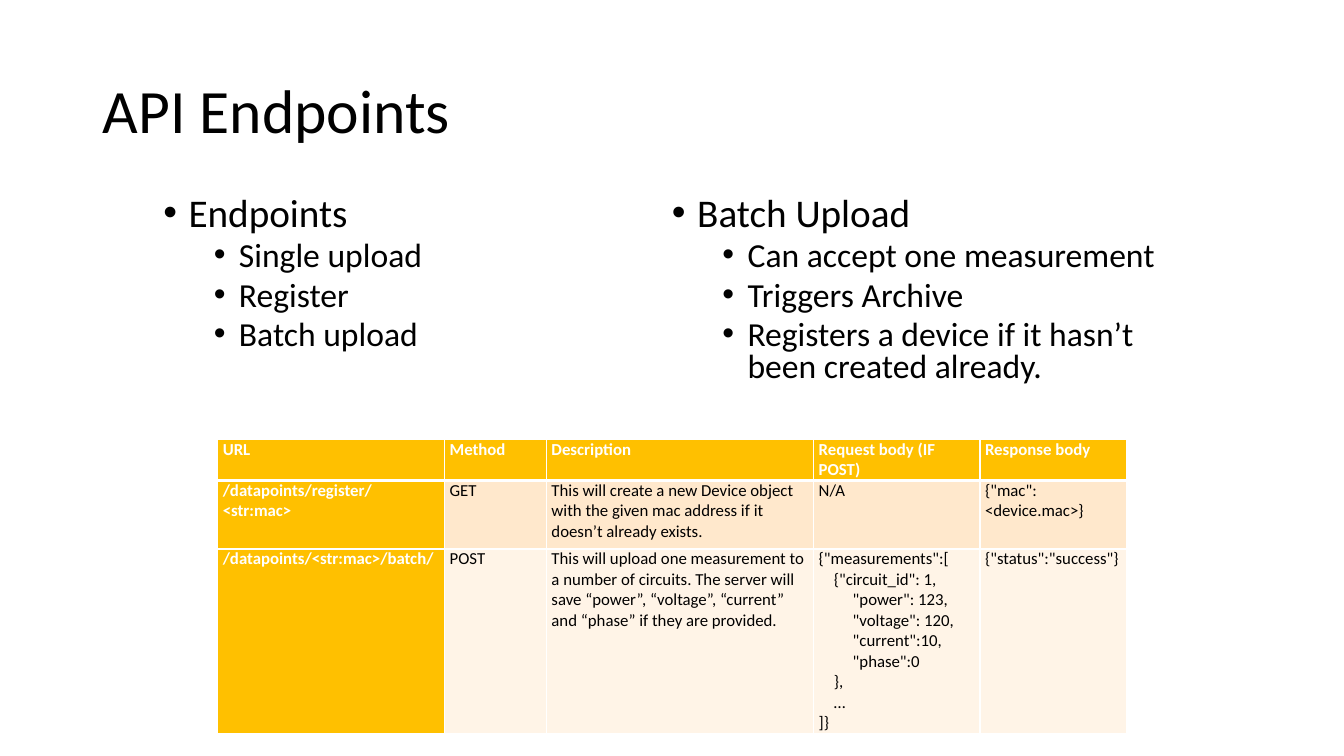
from dataclasses import dataclass
from lxml.etree import SubElement
from pptx import Presentation
from pptx.dml.color import RGBColor
from pptx.enum.text import MSO_ANCHOR, MSO_AUTO_SIZE, PP_ALIGN
from pptx.oxml.ns import qn
from pptx.util import Inches, Pt

# Content
TITLE = "API Endpoints"
POINTS = [
    (0, "Endpoints"),
    (1, "Single upload"),
    (1, "Register"),
    (1, "Batch upload"),
    (0, "Batch Upload"),
    (1, "Can accept one measurement"),
    (1, "Triggers Archive"),
    (1, "Registers a device if it hasn’t been created already."),
]
BATCH = """{"measurements":[
    {"circuit_id": 1,
         "power": 123,
         "voltage": 120,
         "current":10,
         "phase":0
    },
    …
]}"""
ROWS = [
    ("URL", "Method", "Description", "Request body (IF POST)", "Response body"),
    ("/datapoints/register/<str:mac>", "GET",
     "This will create a new Device object with the given mac address "
     "if it doesn’t already exists.",
     "N/A", '{"mac": <device.mac>}'),
    ("/datapoints/<str:mac>/batch/", "POST",
     "This will upload one measurement to a number of circuits. The server "
     "will save “power”, “voltage”, “current” and “phase” if they are provided.",
     BATCH, '{"status":"success"}'),
]
WIDTHS = (2.25, 1.01, 2.65, 1.65, 1.45)
HEIGHTS = (0.33, 0.68, 1.65)


@dataclass(frozen=True)
class Theme:
    font: str = "Calibri"
    ink: str = "000000"
    white: str = "FFFFFF"
    gold: str = "FFC000"
    bands: tuple = ("FFE8CC", "FFF4E7")
    title: int = 44
    levels: tuple = (28, 24)
    cell: int = 12


LOOK = Theme()


def place(shape, left, top, width, height):
    shape.left, shape.top = Inches(left), Inches(top)
    shape.width, shape.height = Inches(width), Inches(height)


def write(para, text, size, color, bold=False):
    run = para.add_run()
    run.text = text
    font = run.font
    font.name, font.size, font.bold = LOOK.font, Pt(size), bold
    font.color.rgb = RGBColor.from_string(color)


def bullet(para, level):
    para.level = level
    props = para._p.get_or_add_pPr()
    props.set("marL", str(Inches(0.25 + 0.5 * level)))
    props.set("indent", str(Inches(-0.25)))
    SubElement(props, qn("a:buFont"), typeface="Arial")
    SubElement(props, qn("a:buChar"), char="•")


def border(cell, row):
    props = cell._tc.get_or_add_tcPr()
    heavy = {0: "B", 1: "T"}.get(row)
    for side in "LRTB":
        width = Pt(3 if side == heavy else 1)
        line = SubElement(props, qn(f"a:ln{side}"), w=str(width))
        fill = SubElement(line, qn("a:solidFill"))
        SubElement(fill, qn("a:srgbClr"), val=LOOK.white)


def add_title(slide):
    shape = slide.shapes.title
    place(shape, 0.92, 0.4, 11.5, 1.45)
    frame = shape.text_frame
    frame.vertical_anchor = MSO_ANCHOR.MIDDLE
    para = frame.paragraphs[0]
    para.alignment, para.line_spacing = PP_ALIGN.LEFT, 0.9
    write(para, TITLE, LOOK.title, LOOK.ink)


def add_points(slide):
    shape = slide.placeholders[1]
    place(shape, 1.52, 1.91, 10.29, 2.1)
    frame = shape.text_frame
    frame.auto_size = MSO_AUTO_SIZE.NONE
    frame._txBody.bodyPr.set("numCol", "2")
    for i, (level, text) in enumerate(POINTS):
        para = frame.add_paragraph() if i else frame.paragraphs[0]
        bullet(para, level)
        para.line_spacing = 0.8
        para.space_before = Pt((10, 5)[level] if i else 0)
        write(para, text, LOOK.levels[level], LOOK.ink)


def fill_cell(cell, text, row, col):
    head = row == 0 or col == 0
    border(cell, row)
    cell.fill.solid()
    shade = LOOK.gold if head else LOOK.bands[row - 1]
    cell.fill.fore_color.rgb = RGBColor.from_string(shade)
    cell.margin_left = cell.margin_right = Inches(0.05)
    cell.margin_top = cell.margin_bottom = 0
    frame = cell.text_frame
    for i, line in enumerate(text.split("\n")):
        para = frame.add_paragraph() if i else frame.paragraphs[0]
        write(para, line, LOOK.cell, LOOK.white if head else LOOK.ink, head)


def add_grid(slide):
    frame = slide.shapes.add_table(
        len(ROWS), len(WIDTHS), Inches(2.16), Inches(4.36),
        Inches(sum(WIDTHS)), Inches(sum(HEIGHTS)))
    table = frame.table
    table.first_col = True
    for col, width in zip(table.columns, WIDTHS):
        col.width = Inches(width)
    for row, height in zip(table.rows, HEIGHTS):
        row.height = Inches(height)
    for r, texts in enumerate(ROWS):
        for c, text in enumerate(texts):
            fill_cell(table.cell(r, c), text, r, c)


def main():
    deck = Presentation()
    deck.slide_width, deck.slide_height = Inches(13.33), Inches(7.5)
    slide = deck.slides.add_slide(deck.slide_layouts[1])
    add_title(slide)
    add_points(slide)
    add_grid(slide)
    deck.save("out.pptx")


if __name__ == "__main__":
    main()
